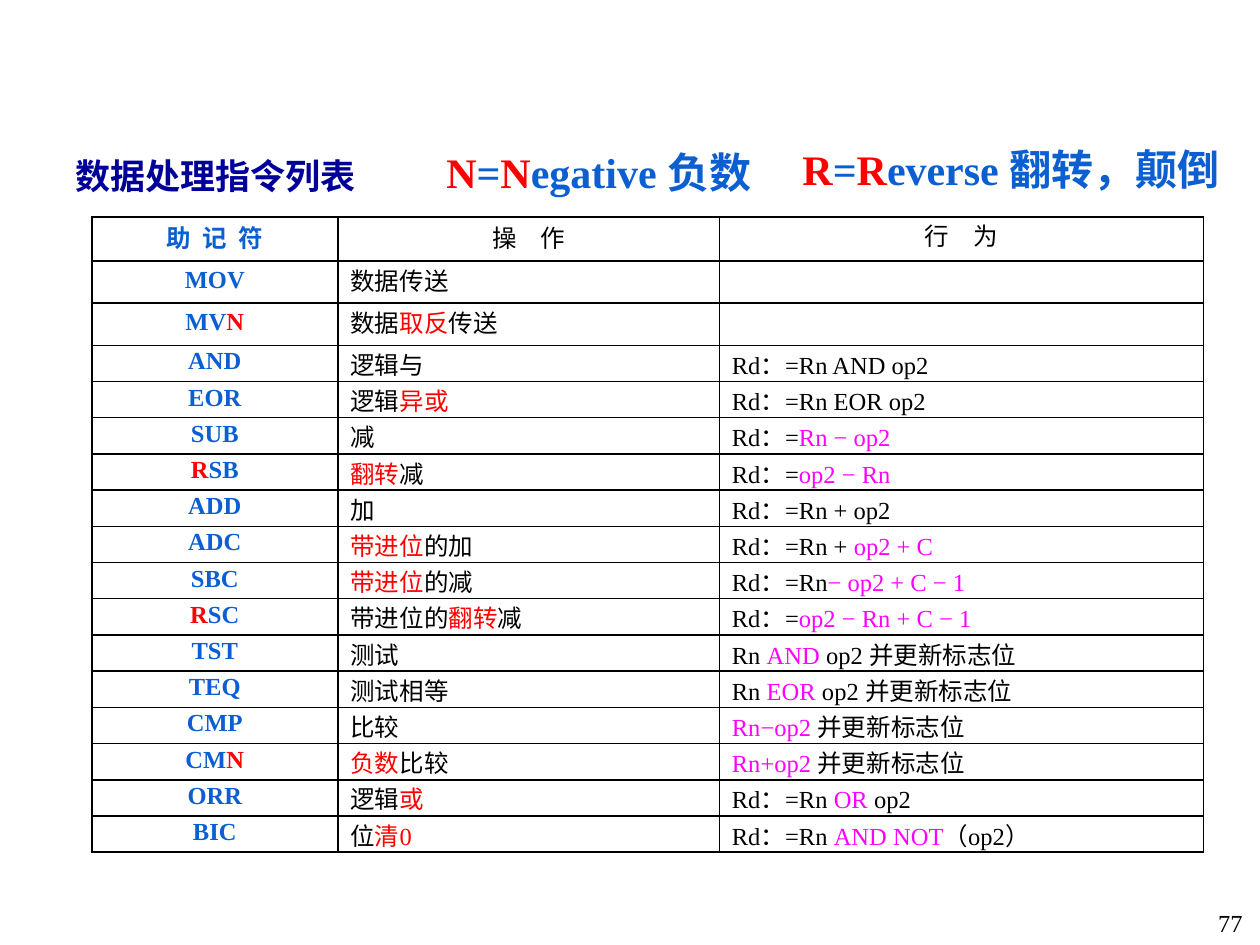
import pptx
import pptx.dml.color
import pptx.enum.text
import pptx.oxml
import pptx.oxml.ns
import pptx.util

Cm = pptx.util.Cm
Pt = pptx.util.Pt
Align = pptx.enum.text.PP_ALIGN
Anchor = pptx.enum.text.MSO_ANCHOR

BLACK, BLUE, NAVY = "000000", "0B5FD1", "000099"
ACCENTS = {"!": "FF0000", "~": "FF00FF"}

HEADINGS = [("助 记 符", 1.75), ("操 作", 5.25), ("行 为", 5.25)]
INSTRUCTIONS = [
    ("MOV", "数据传送", ""),
    ("MV|!N", "数据|!取反|传送", ""),
    ("AND", "逻辑与", "Rd：=Rn AND op2"),
    ("EOR", "逻辑|!异或", "Rd：=Rn EOR op2"),
    ("SUB", "减", "Rd：=|~Rn − op2"),
    ("!R|SB", "!翻转|减", "Rd：=|~op2 − Rn"),
    ("ADD", "加", "Rd：=Rn + op2"),
    ("ADC", "!带进位|的加", "Rd：=Rn + |~op2 + C"),
    ("SBC", "!带进位|的减", "Rd：=Rn|~− op2 + C − 1"),
    ("!R|SC", "带进位的|!翻转|减", "Rd：=|~op2 − Rn + C − 1"),
    ("TST", "测试", "Rn |~AND| op2 并更新标志位"),
    ("TEQ", "测试相等", "Rn |~EOR| op2 并更新标志位"),
    ("CMP", "比较", "~Rn−op2 |并更新标志位"),
    ("CM|!N", "!负数|比较", "~Rn+op2 |并更新标志位"),
    ("ORR", "逻辑|!或", "Rd：=Rn |~OR| op2"),
    ("BIC", "位|!清0", "Rd：=Rn |~AND NOT|（op2）"),
]
COLUMN_WIDTHS = [4.96, 7.69, 9.76]
ROW_HEIGHTS = [0.89] + [0.85] * 2 + [0.73] * 14


def color(value):
    return pptx.dml.color.RGBColor.from_string(value)


class SlideBuilder:
    font = "Times New Roman"

    def __init__(self, page):
        self.page = page

    def add_spans(self, para, marked, size, base, bold=False, align=Align.LEFT,
                  leading=None, tracking=0):
        para.alignment = align
        para.line_spacing = leading
        para.font.size = Pt(size)
        for piece in marked.split("|") if marked else []:
            accent = ACCENTS.get(piece[0])
            span = para.add_run()
            span.text = piece[1:] if accent else piece
            span.font.name = self.font
            span.font.size = Pt(size)
            span.font.bold = bold
            span.font.color.rgb = color(accent or base)
            if tracking:
                span._r.get_or_add_rPr().set("spc", str(int(tracking * 100)))

    def title(self, left, top, width, height, text):
        box = self.page.shapes.title
        box.left, box.top, box.width, box.height = map(Cm, (left, top, width, height))
        frame = box.text_frame
        frame.auto_size = pptx.enum.text.MSO_AUTO_SIZE.SHAPE_TO_FIT_TEXT
        frame.vertical_anchor = Anchor.MIDDLE
        frame.margin_left = Cm(0.43)
        self.add_spans(frame.paragraphs[0], text, 20, NAVY, bold=True)

    def text(self, left, top, width, height, marked, size, base, **style):
        box = self.page.shapes.add_textbox(*map(Cm, (left, top, width, height)))
        box.text_frame.word_wrap = True
        self.add_spans(box.text_frame.paragraphs[0], marked, size, base, **style)

    def border(self, cell):
        properties = cell._tc.get_or_add_tcPr()
        for position, side in enumerate(("lnL", "lnR", "lnT", "lnB")):
            line = pptx.oxml.parse_xml(
                f'<a:{side} {pptx.oxml.ns.nsdecls("a")} w="12700"><a:solidFill>'
                f'<a:srgbClr val="{BLACK}"/></a:solidFill></a:{side}>')
            properties.insert(position, line)

    def table(self, left, top, widths, heights, headings, records):
        grid = self.page.shapes.add_table(
            len(heights), len(widths), Cm(left), Cm(top),
            Cm(sum(widths)), Cm(sum(heights))).table
        grid.first_row = grid.horz_banding = False
        for column, width in zip(grid.columns, widths):
            column.width = Cm(width)
        for row, height in zip(grid.rows, heights):
            row.height = Cm(height)
        rows = [headings] + [[(text, 0) for text in record] for record in records]
        for r, entries in enumerate(rows):
            for c, (marked, tracking) in enumerate(entries):
                cell = grid.cell(r, c)
                cell.fill.background()
                self.border(cell)
                middle = c == 0 or (c == 1 and r < 4)
                cell.vertical_anchor = Anchor.MIDDLE if middle else Anchor.TOP
                self.add_spans(cell.text_frame.paragraphs[0], marked, 14,
                               BLUE if c == 0 else BLACK, bold=c == 0,
                               align=Align.CENTER if r == 0 or c == 0 else Align.LEFT,
                               leading=0.8, tracking=tracking)


def main():
    deck = pptx.Presentation()
    deck.slide_width, deck.slide_height = Cm(25.4), Cm(19.05)
    builder = SlideBuilder(deck.slides.add_slide(deck.slide_layouts[5]))
    builder.text(23.37, 18.19, 1.93, 0.86, "77", 14, BLACK, align=Align.RIGHT)
    builder.title(1.09, 2.97, 6.55, 1.12, "数据处理指令列表")
    builder.table(1.85, 4.37, COLUMN_WIDTHS, ROW_HEIGHTS, HEADINGS, INSTRUCTIONS)
    legend = dict(size=24, base=BLUE, bold=True, align=Align.CENTER, leading=0.8)
    builder.text(8.31, 3.02, 7.52, 1.07, "!N|=|!N|egative 负数", **legend)
    builder.text(15.49, 2.97, 9.78, 1.07, "!R|=|!R|everse 翻转，颠倒", **legend)
    deck.save("out.pptx")


if __name__ == "__main__":
    main()
